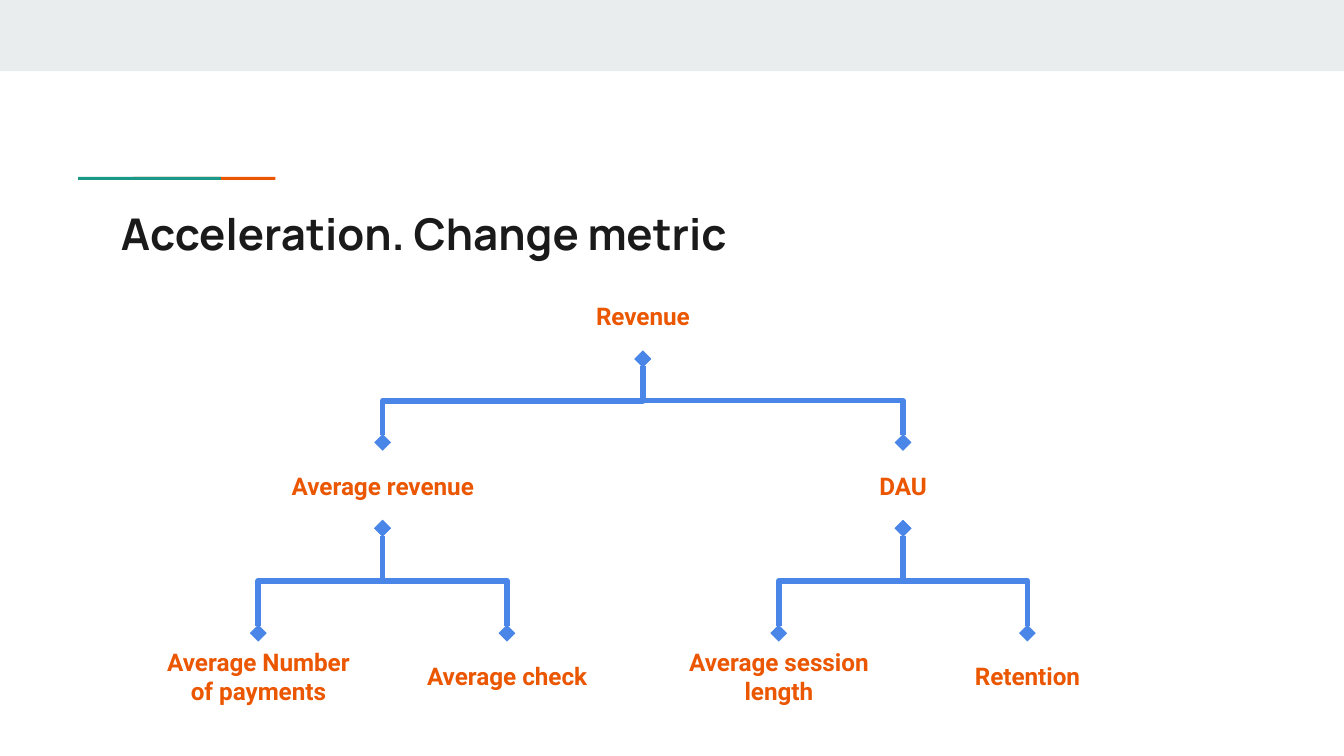
from dataclasses import dataclass

from lxml.etree import SubElement
from pptx import Presentation
from pptx.dml.color import RGBColor
from pptx.enum.shapes import MSO_CONNECTOR, MSO_SHAPE
from pptx.enum.text import MSO_ANCHOR, MSO_AUTO_SIZE, PP_ALIGN
from pptx.oxml.ns import qn
from pptx.util import Pt


@dataclass(frozen=True)
class Theme:
    band: RGBColor = RGBColor.from_string("E9EDEE")
    orange: RGBColor = RGBColor.from_string("EB5600")
    green: RGBColor = RGBColor.from_string("1A9988")
    ink: RGBColor = RGBColor.from_string("1A1A1A")
    branch: RGBColor = RGBColor.from_string("4A86E8")
    title_font: str = "Manrope"
    title_size: float = 23.4
    label_font: str = "Roboto"
    label_size: float = 13


theme = Theme()


def add_text(tf, text, font, size, color, align, anchor):
    tf.word_wrap = True
    tf.auto_size = MSO_AUTO_SIZE.NONE
    tf.vertical_anchor = anchor
    tf.margin_left = tf.margin_right = tf.margin_top = tf.margin_bottom = Pt(7.2)
    p = tf.paragraphs[0]
    p.alignment = align
    r = p.add_run()
    r.text = text
    r.font.name, r.font.size, r.font.bold = font, Pt(size), True
    r.font.color.rgb = color


def add_branch(slide, x1, y1, x2, y2):
    """Join a parent at (x1, y1) to a child below it, leaving vertically."""
    # The elbow is laid out sideways around its centre, then turned by 270 degrees.
    mid_x, mid_y = (x1 + x2) / 2, (y1 + y2) / 2
    half_w, half_h = (y2 - y1) / 2, abs(x2 - x1) / 2
    if x2 > x1:
        half_w = -half_w  # mirrors the elbow for a child on the right
    s = slide.shapes.add_connector(
        MSO_CONNECTOR.ELBOW,
        Pt(mid_x - half_w), Pt(mid_y - half_h),
        Pt(mid_x + half_w), Pt(mid_y + half_h))
    s.line.color.rgb = theme.branch
    s.line.width = Pt(3)
    sp_pr = s._element.spPr
    sp_pr.xfrm.set("rot", str(270 * 60000))
    ln = sp_pr.find(qn("a:ln"))
    SubElement(ln, qn("a:round"))
    for end in ("a:headEnd", "a:tailEnd"):
        SubElement(ln, qn(end)).set("type", "diamond")
    SubElement(sp_pr, qn("a:effectLst"))


prs = Presentation()
prs.slide_width, prs.slide_height = Pt(720), Pt(405)
slide = prs.slides.add_slide(prs.slide_layouts[5])

# Top band and two-colour accent rule
bars = [
    (0, 0, 720, 38.2, theme.band),
    (71, 94.8, 76.5, 1.6, theme.orange),
    (41.8, 94.8, 76.5, 1.6, theme.green),
]
for x, y, w, h, color in bars:
    s = slide.shapes.add_shape(MSO_SHAPE.RECTANGLE, Pt(x), Pt(y), Pt(w), Pt(h))
    s.shadow.inherit = False
    s.fill.solid()
    s.fill.fore_color.rgb = color
    s.line.fill.background()

title = slide.shapes.title
title.left, title.top, title.width, title.height = Pt(57.6), Pt(103.7), Pt(605.5), Pt(42.5)
add_text(title.text_frame, "Acceleration. Change metric", theme.title_font,
         theme.title_size, theme.ink, PP_ALIGN.LEFT, MSO_ANCHOR.TOP)

# Metric tree: label, level, horizontal centre, parent
NODE_W, NODE_H = 121, 46
LEVEL_TOPS = [146.3, 237, 339.2]
ROOT_X, SPREAD, LEAF_SPREAD = 344.4, 139.4, 66.6
left_x, right_x = ROOT_X - SPREAD, ROOT_X + SPREAD
nodes = [
    ("Revenue", 0, ROOT_X, None),
    ("Average revenue", 1, left_x, ROOT_X),
    ("DAU", 1, right_x, ROOT_X),
    ("Average Number of payments", 2, left_x - LEAF_SPREAD, left_x),
    ("Average check", 2, left_x + LEAF_SPREAD, left_x),
    ("Average session length", 2, right_x - LEAF_SPREAD, right_x),
    ("Retention", 2, right_x + LEAF_SPREAD, right_x),
]
for label, level, x, parent_x in nodes:
    top = LEVEL_TOPS[level]
    if parent_x is not None:
        add_branch(slide, parent_x, LEVEL_TOPS[level - 1] + NODE_H, x, top)
    s = slide.shapes.add_textbox(Pt(x - NODE_W / 2), Pt(top), Pt(NODE_W), Pt(NODE_H))
    add_text(s.text_frame, label, theme.label_font, theme.label_size,
             theme.orange, PP_ALIGN.CENTER, MSO_ANCHOR.MIDDLE)

prs.save("out.pptx")
